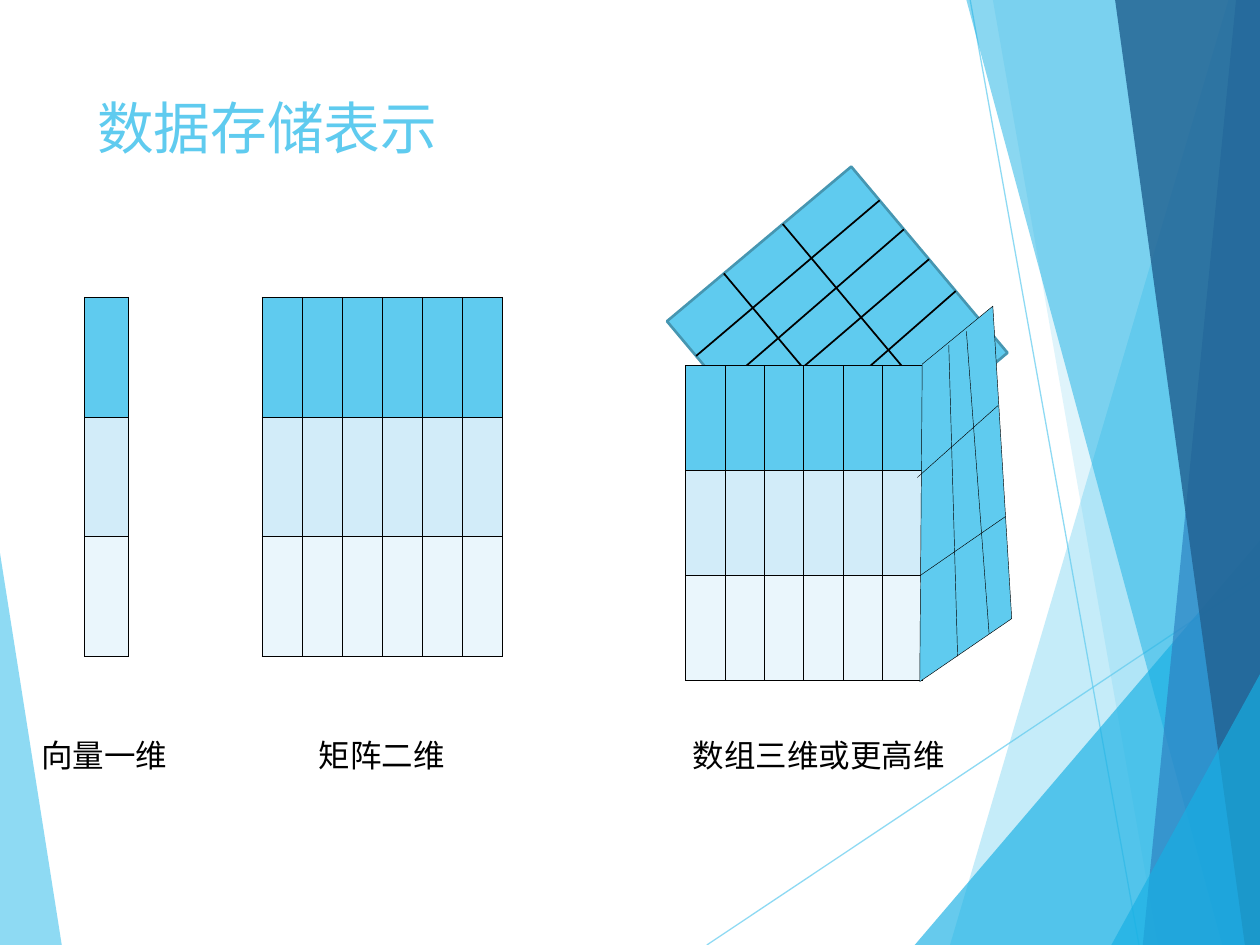
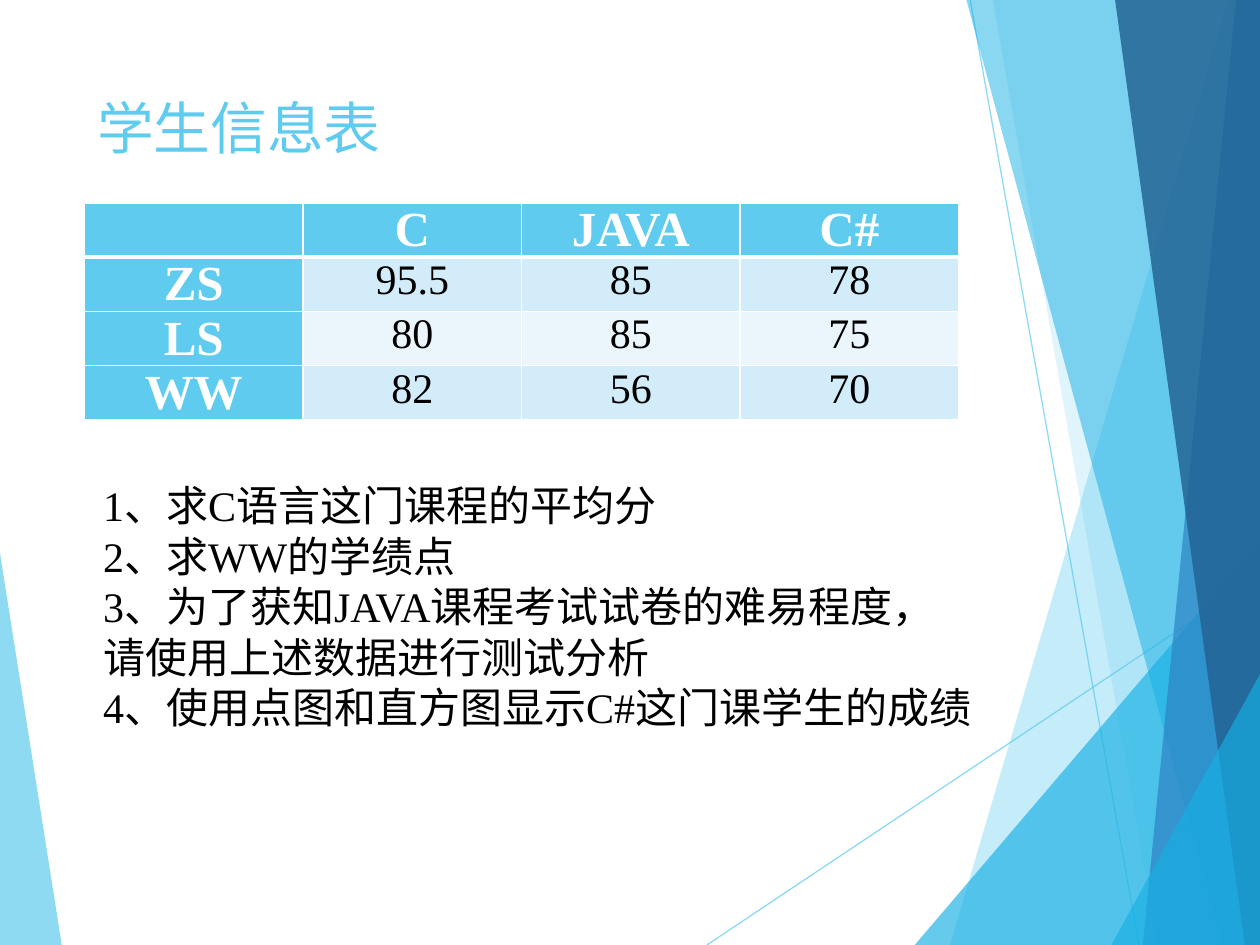
"""Build two slides on how data is stored: vector, matrix, array and a score table."""
import pptx
import pptx.dml.color
import pptx.enum.shapes
import pptx.enum.text
import pptx.oxml
import pptx.oxml.ns
import pptx.util
from lxml import etree

Inches, Pt = pptx.util.Inches, pptx.util.Pt
qn = pptx.oxml.ns.qn

COLORS = {
    "sky": "5FCBEF", "cyan": "17B0E4", "blue": "2E83C3", "navy": "226292",
    "pale": "D2ECF9", "mist": "EAF6FC", "edge": "4696B1",
    "black": "000000", "white": "FFFFFF",
}
SERIF, SANS = "Times New Roman", "Karla"

RAYS = [((5.61, 7.5), (10, 4.57)), ((7.7, 0), (9.04, 7.5))]
LEFT_SHARD = ([(0, 4.39), (0.49, 7.5), (0, 7.5)], "sky", 70)
RIGHT_SHARDS = [
    ([(9.75, 0), (7.54, 7.5), (10, 7.5), (10, 0)], "sky", 36),
    ([(7.88, 0), (9.19, 7.5), (10, 7.5), (10, 0)], "sky", 20),
    ([(7.26, 7.5), (10, 4.29), (10, 7.5)], "cyan", 66),
    ([(7.67, 0), (9.7, 7.5), (10, 7.5), (10, 0)], "cyan", 50),
    ([(9.81, 0), (9.07, 7.5), (10, 7.5), (10, 0)], "blue", 70),
    ([(8.85, 0), (9.88, 7.5), (10, 7.5), (10, 0)], "navy", 82),
    ([(8.82, 7.5), (10, 5.35), (10, 7.5)], "cyan", 66),
]


def rgb(name):
    return pptx.dml.color.RGBColor.from_string(COLORS[name])


class Deck:
    def __init__(self):
        self.prs = pptx.Presentation()
        self.prs.slide_width, self.prs.slide_height = Inches(10), Inches(7.5)
        self.shapes = None

    def slide(self, title):
        s = self.prs.slides.add_slide(self.prs.slide_layouts[5])
        self.shapes = s.shapes
        self.backdrop()
        sp = s.shapes.title
        sp.left, sp.top, sp.width, sp.height = map(Inches, (0.67, 0.67, 6.94, 0.67))
        tf = sp.text_frame
        tf.text = title
        tf.auto_size = pptx.enum.text.MSO_AUTO_SIZE.NONE
        tf.vertical_anchor = pptx.enum.text.MSO_ANCHOR.MIDDLE
        self.format(tf, 32.4, SERIF, "sky", align="LEFT")

    def backdrop(self):
        self.fade(self.polygon(*LEFT_SHARD[:2]), LEFT_SHARD[2])
        for start, end in RAYS:
            self.fade(self.line(start, end, "sky", 0.75), 70)
        for points, color, alpha in RIGHT_SHARDS:
            self.fade(self.polygon(points, color), alpha)

    def format(self, tf, size, font, color, bold=False, align=None):
        for p in tf.paragraphs:
            if align:
                p.alignment = pptx.enum.text.PP_ALIGN[align]
            for r in p.runs:
                r.font.size, r.font.name, r.font.bold = Pt(size), font, bold
                r.font.color.rgb = rgb(color)

    def paint(self, sp, fill, line=None, width=0):
        sp.shadow.inherit = False
        sp.fill.solid()
        sp.fill.fore_color.rgb = rgb(fill)
        if line:
            sp.line.color.rgb = rgb(line)
            sp.line.width = Pt(width)
        else:
            sp.line.fill.background()
        return sp

    def fade(self, sp, alpha):
        for clr in sp._element.spPr.iter(qn("a:srgbClr")):
            etree.SubElement(clr, qn("a:alpha"), val=str(alpha * 1000))

    def polygon(self, points, fill, line=None, width=0):
        corners = [(Inches(x), Inches(y)) for x, y in points]
        builder = self.shapes.build_freeform(*corners[0])
        builder.add_line_segments(corners[1:], close=True)
        return self.paint(builder.convert_to_shape(), fill, line, width)

    def rect(self, at, fill, line, width):
        kind = pptx.enum.shapes.MSO_SHAPE.RECTANGLE
        return self.paint(self.shapes.add_shape(kind, *map(Inches, at)), fill, line, width)

    def line(self, start, end, color, width):
        kind = pptx.enum.shapes.MSO_CONNECTOR.STRAIGHT
        sp = self.shapes.add_connector(kind, *map(Inches, (*start, *end)))
        sp.line.color.rgb = rgb(color)
        sp.line.width = Pt(width)
        etree.SubElement(sp._element.spPr, qn("a:effectLst"))
        return sp

    def text(self, at, lines, size, font, wrap=False):
        tf = self.shapes.add_textbox(*map(Inches, at)).text_frame
        tf.word_wrap = wrap
        tf.text = "\n".join(lines)
        self.format(tf, size, font, "black")

    def cell(self, cell, fill, border, widths):
        tcPr = cell._tc.get_or_add_tcPr()
        for side, width in zip("LRTB", widths):
            ln = etree.SubElement(tcPr, qn(f"a:ln{side}"), w=str(Pt(width)))
            solid = etree.SubElement(ln, qn("a:solidFill"))
            etree.SubElement(solid, qn("a:srgbClr"), val=COLORS[border])
        cell.fill.solid()
        cell.fill.fore_color.rgb = rgb(fill)

    def table(self, at, rows, cols):
        table = self.shapes.add_table(rows, cols, *map(Inches, at)).table
        for col in table.columns:
            col.width = Inches(at[2] / cols)
        for row in table.rows:
            row.height = Inches(at[3] / rows)
        return table

    def grid(self, at, cols):
        fills = ("sky", "pale", "mist")
        table = self.table(at, len(fills), cols)
        for row, fill in zip(table.rows, fills):
            for cell in row.cells:
                self.cell(cell, fill, "black", [0.5] * 4)

    def scores(self, at, data):
        table = self.table(at, len(data), len(data[0]))
        for i, values in enumerate(data):
            for j, value in enumerate(values):
                cell, head = table.cell(i, j), i == 0 or j == 0
                fill = "sky" if head else ("mist", "pale")[i % 2]
                self.cell(cell, fill, "white", (1, 1, 3 if i == 1 else 1, 3 if i == 0 else 1))
                cell.margin_top = cell.margin_bottom = 0
                cell.margin_left = cell.margin_right = Inches(0.09)
                cell.text = value
                self.format(cell.text_frame, 28 if head else 24, SERIF,
                            "white" if head else "black", head, "CENTER")

    def roof(self, at, xs, ys, angle):
        outer = self.shapes
        group = outer.add_group_shape()
        self.shapes = group.shapes
        left, top, width, height = at
        self.rect(at, "sky", "edge", 1.5)
        for x0, x1 in xs:
            self.line((x0, top), (x1, top + height), "black", 1)
        for y in ys:
            self.line((left, y), (left + width, y), "black", 1)
        group.rotation = angle
        self.shapes = outer


def storage_slide(deck):
    deck.slide("数据存储表示")
    deck.grid((0.67, 2.36, 0.35, 2.85), 1)
    deck.grid((2.08, 2.36, 1.91, 2.85), 6)
    deck.roof((5.68, 1.72, 1.93, 1.91),
              [(6.03, 6.04), (6.33, 6.36), (6.64, 6.66), (6.97, 7.01), (7.32, 7.36)],
              [2.43, 3.04], 50)
    for x, width, label in [(0.23, 1.21, "向量一维"), (2.43, 1.21, "矩阵二维"),
                            (5.4, 2.22, "数组三维或更高维")]:
        deck.text((x, 5.79, width, 0.4), [label], 18, SANS)
    deck.grid((5.44, 2.9, 1.88, 2.5), 6)
    deck.polygon([(8.03, 4.91), (7.88, 2.43), (7.32, 2.89), (7.3, 5.41)], "sky", "black", 0.25)
    for start, end in [((7.53, 2.74), (7.6, 5.21)), ((7.67, 2.63), (7.85, 5.03)),
                       ((7.28, 3.79), (7.92, 3.22)), ((7.3, 4.57), (7.98, 4.1))]:
        deck.line(start, end, "black", 0.25)


def scores_slide(deck):
    deck.slide("学生信息表")
    deck.scores((0.67, 1.61, 6.94, 1.72), [
        ["", "C", "JAVA", "C#"],
        ["ZS", "95.5", "85", "78"],
        ["LS", "80", "85", "75"],
        ["WW", "82", "56", "70"],
    ])
    deck.text((0.72, 3.76, 7.1, 2.12), [
        "1、求C语言这门课程的平均分",
        "2、求WW的学绩点",
        "3、为了获知JAVA课程考试试卷的难易程度，请使用上述数据进行测试分析",
        "4、使用点图和直方图显示C#这门课学生的成绩",
    ], 24, SERIF, wrap=True)


def main():
    deck = Deck()
    storage_slide(deck)
    scores_slide(deck)
    deck.prs.save("out.pptx")


if __name__ == "__main__":
    main()
